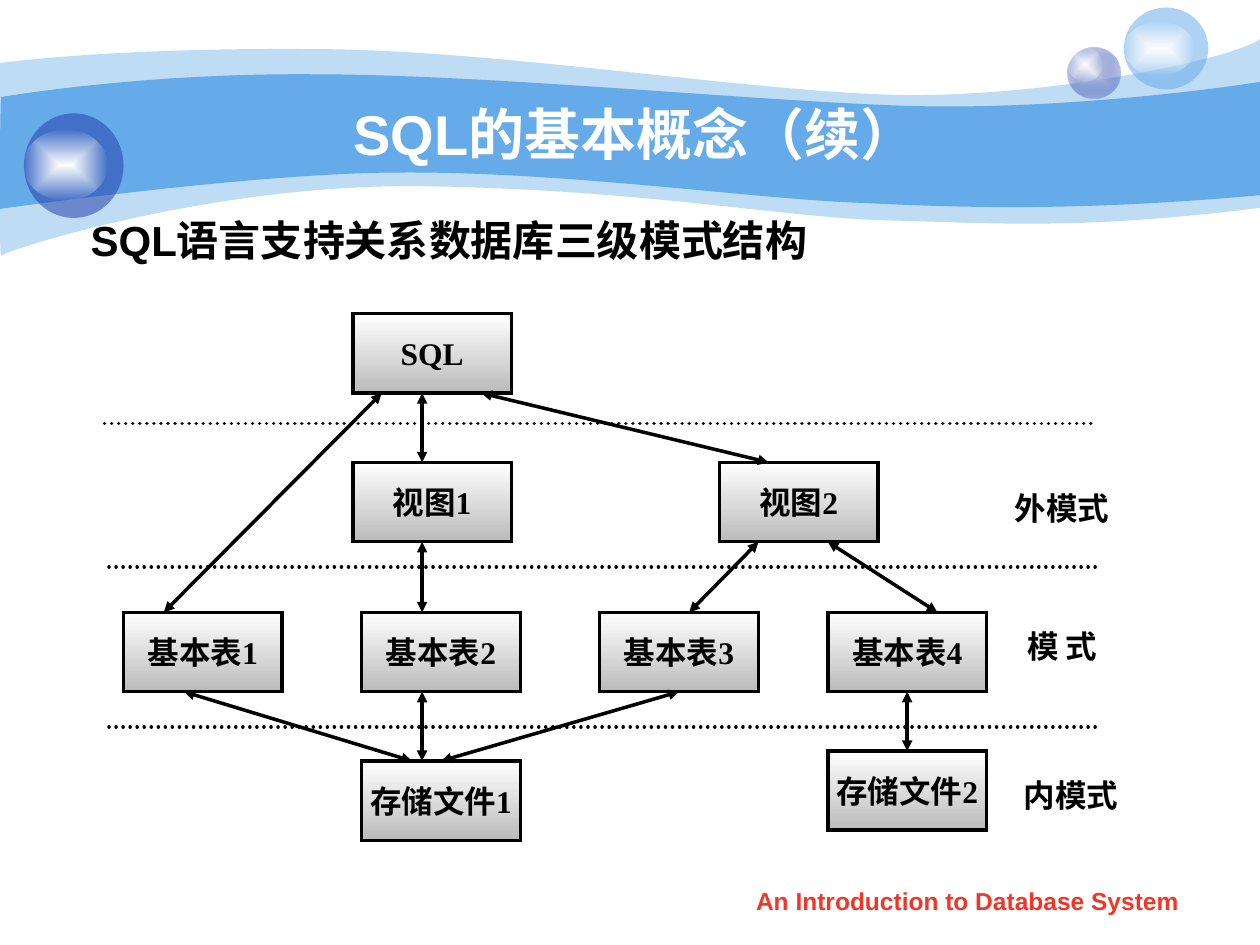
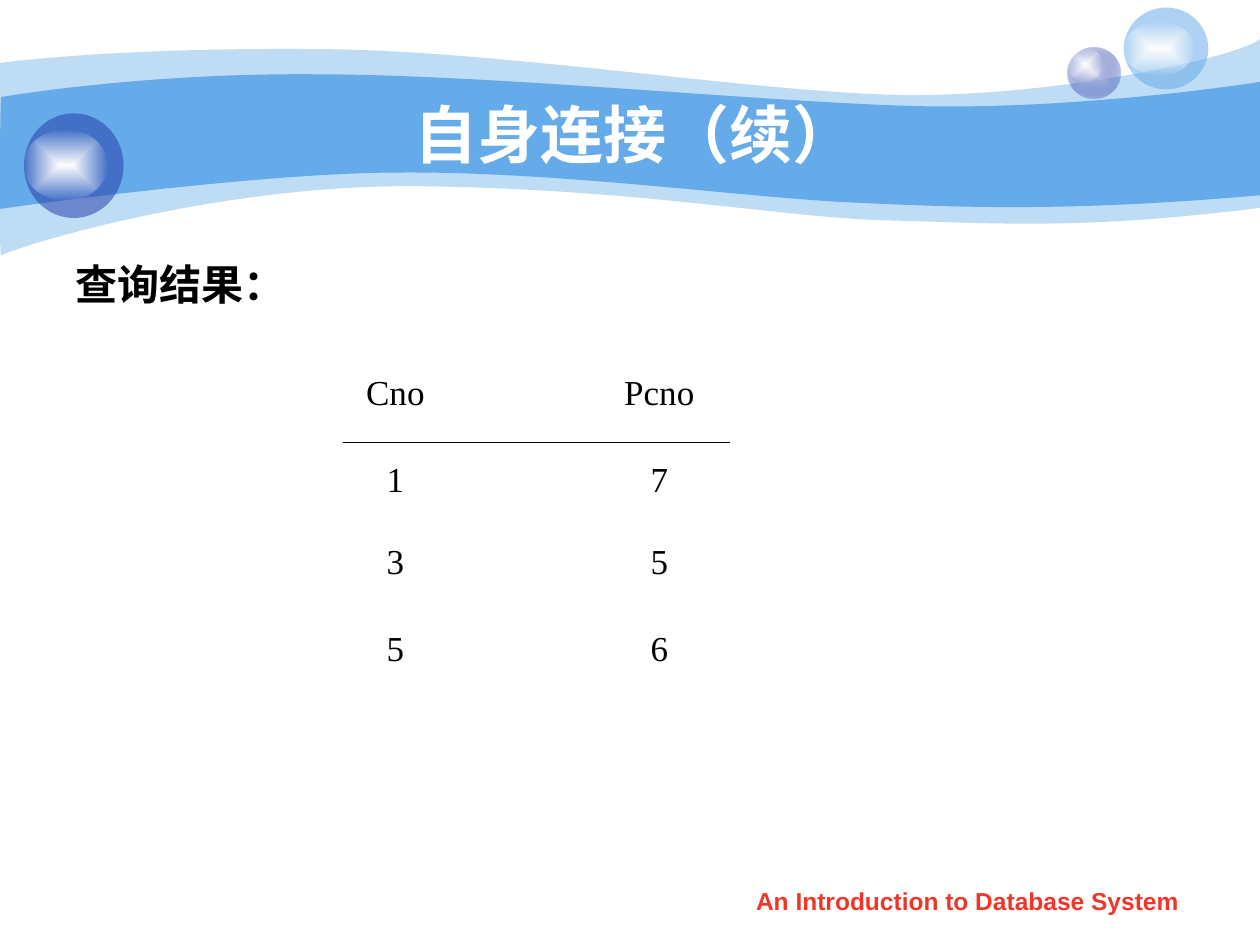
"""Build two database lecture slides: the three-level schema and a self-join result."""
import dataclasses

import lxml.etree
import pptx
import pptx.dml.color
import pptx.enum.dml
import pptx.enum.shapes
import pptx.enum.text
import pptx.oxml.ns
import pptx.util

Pt = pptx.util.Pt
qn = pptx.oxml.ns.qn
ALIGN = pptx.enum.text.PP_ALIGN
ANCHOR = pptx.enum.text.MSO_ANCHOR
SHAPE = pptx.enum.shapes.MSO_SHAPE


@dataclasses.dataclass(frozen=True)
class Theme:
    """Colours, fonts and type sizes shared by the slides."""
    sky: str = "65AAE9"
    navy: str = "233DA9"
    lilac: str = "C7CEE9"
    white: str = "FFFFFF"
    black: str = "000000"
    silver: str = "BBBBBB"
    footer: str = "F03628"
    sans: str = "Arial"
    serif: str = "Times New Roman"
    title_size: int = 32
    large_title_size: int = 36
    heading_size: int = 24
    table_size: int = 20
    label_size: int = 18
    footer_size: int = 14


THEME = Theme()
BOX_WIDTH, BOX_HEIGHT = 90.72, 45.36
GLOSS = [(THEME.white, 100), (THEME.white, 0)]

OUTER_BAND = [
    [(0, 36)],
    [(17.28, 33.84), (77.04, 27.36), (177.84, 28.08)],
    [(277.92, 28.08), (414, 50.4), (503.28, 54)],
    [(591.84, 57.6), (705.6, 33.84), (720, 22.32)],
    [(720, 118.8)],
    [(617.76, 131.76), (566.64, 127.44), (507.6, 126)],
    [(447.84, 124.56), (370.8, 108.72), (246.96, 106.56)],
    [(123.84, 103.68), (2.88, 143.28), (0.72, 146.16)],
    [(-0.72, 149.76), (0, 54), (0, 36)],
]
INNER_BAND = [
    [(0.72, 55.44)],
    [(1.44, 55.44), (79.2, 41.76), (178.56, 42.48)],
    [(277.92, 42.48), (428.4, 57.6), (516.96, 60.48)],
    [(605.52, 63.36), (702.72, 49.68), (720, 46.8)],
    [(720, 111.6)],
    [(614.16, 120.96), (550.8, 118.8), (491.04, 115.92)],
    [(431.28, 113.76), (321.84, 97.92), (228.24, 98.64)],
    [(146.16, 98.64), (-1.44, 119.52), (-0.72, 119.52)],
    [(0, 119.52), (0, 55.44), (0.72, 55.44)],
]
ORBS = [
    (609.84, 27.36, 30.24, 28.8, [(THEME.lilac, 100), (THEME.navy, 31)]),
    (609.84, 27.36, 20.16, 19.44, GLOSS),
    (642.24, 4.32, 48.24, 46.8, [(THEME.sky, 53)]),
    (642.24, 12.24, 40.32, 30.96, GLOSS),
    (13.68, 64.8, 56.88, 59.76, [(THEME.navy, 53)]),
    (13.68, 74.16, 47.52, 40.32, GLOSS),
]
BOXES = {
    "SQL": (201.6, 179.28),
    "视图2": (411.12, 264.24),
    "视图1": (201.6, 264.24),
    "基本表2": (206.64, 349.92),
    "基本表1": (70.56, 349.92),
    "基本表3": (342.72, 349.92),
    "基本表4": (473.04, 349.92),
    "存储文件2": (473.04, 429.12),
    "存储文件1": (206.64, 434.88),
}
LINKS = [
    ("SQL", -28.8, "基本表1", -22.32),
    ("SQL", -5.76, "视图1", -5.76),
    ("视图1", -5.76, "基本表2", -10.8),
    ("基本表2", -10.8, "存储文件1", -10.8),
    ("SQL", 28.08, "视图2", -17.28),
    ("视图2", -23.04, "基本表3", 5.76),
    ("视图2", 16.56, "基本表4", 17.28),
    ("基本表1", -10.8, "存储文件1", -16.56),
    ("基本表3", 0, "存储文件1", 0),
    ("基本表4", 0, "存储文件2", 0),
]
LEVEL_LINES = [(59.76, 241.92), (62.28, 324), (62.28, 415.44)]
LEVEL_LABELS = [
    ("外模式", 564.48, 275.76),
    ("模 式", 564.48, 354.96),
    ("内模式", 569.52, 439.92),
]
RESULT = [("Cno", "Pcno"), ("1", "7"), ("3", "5"), ("5", "6")]
RESULT_ROW_HEIGHTS = [49.68, 46.8, 49.68, 49.68]


def rgb(color):
    """Turn a hex string into a colour value."""
    return pptx.dml.color.RGBColor.from_string(color)


def add_color(parent, color, opacity):
    """Add a colour element with its opacity in percent."""
    element = lxml.etree.SubElement(parent, qn("a:srgbClr"), val=color)
    if opacity < 100:
        lxml.etree.SubElement(element, qn("a:alpha"), val=str(opacity * 1000))


def paint(shape, stops, angle=None):
    """Fill a shape with one colour, or with a rectangular or linear gradient."""
    shape.shadow.inherit = False
    shape.line.fill.background()
    shape.fill.background()
    properties = shape._element.spPr
    blank = properties.find(qn("a:noFill"))
    if len(stops) == 1:
        fill = lxml.etree.Element(qn("a:solidFill"))
        add_color(fill, *stops[0])
    else:
        fill = lxml.etree.Element(qn("a:gradFill"), rotWithShape="1")
        stop_list = lxml.etree.SubElement(fill, qn("a:gsLst"))
        for position, stop in zip(("0", "100000"), stops):
            add_color(lxml.etree.SubElement(stop_list, qn("a:gs"), pos=position), *stop)
        if angle is None:
            direction = lxml.etree.SubElement(fill, qn("a:path"), path="rect")
            lxml.etree.SubElement(direction, qn("a:fillToRect"),
                                  l="50000", t="50000", r="50000", b="50000")
        else:
            lxml.etree.SubElement(fill, qn("a:lin"), ang=str(angle * 60000), scaled="1")
    properties.replace(blank, fill)


def write(frame, text, size, font=THEME.sans, color=THEME.black, bold=True,
          align=ALIGN.CENTER, anchor=ANCHOR.TOP, wrap=True, spacing=None):
    """Write one formatted paragraph into a text frame."""
    frame.word_wrap = wrap
    frame.vertical_anchor = anchor
    paragraph = frame.paragraphs[0]
    paragraph.alignment = align
    paragraph.line_spacing = spacing
    run = paragraph.add_run()
    run.text = text
    run.font.name = font
    run.font.size = Pt(size)
    run.font.bold = bold
    run.font.color.rgb = rgb(color)


def add_text(slide, text, left, top, width, height, **text_format):
    """Add a text box holding one formatted paragraph."""
    shape = slide.shapes.add_textbox(Pt(left), Pt(top), Pt(width), Pt(height))
    write(shape.text_frame, text, **text_format)


def add_band(slide, segments, opacity):
    """Draw a wavy band, turning each three-point segment into a cubic curve."""
    outline = [(Pt(x), Pt(y)) for segment in segments for x, y in segment]
    builder = slide.shapes.build_freeform(*outline[0])
    builder.add_line_segments(outline[1:], close=True)
    band = builder.convert_to_shape()
    lines = iter(list(band._element.iter(qn("a:lnTo"))))
    for segment in segments[1:]:
        first, *others = [next(lines) for _ in segment]
        if others:
            first.tag = qn("a:cubicBezTo")
            for line in others:
                first.append(line[0])
                line.getparent().remove(line)
    paint(band, [(THEME.sky, opacity)])


def add_frame(presentation, title, title_size):
    """Add a slide with the bands, orbs, footer and title."""
    slide = presentation.slides.add_slide(presentation.slide_layouts[6])
    add_band(slide, OUTER_BAND, 41)
    add_band(slide, INNER_BAND, 100)
    for left, top, width, height, stops in ORBS:
        orb = slide.shapes.add_shape(SHAPE.OVAL, Pt(left), Pt(top), Pt(width), Pt(height))
        paint(orb, stops)
    add_text(slide, "An Introduction to Database System", 411.12, 502.56, 283.68, 25.2,
             size=THEME.footer_size, color=THEME.footer)
    add_text(slide, title, 72, 54, 581.76, 44.64, size=title_size,
             color=THEME.white, anchor=ANCHOR.MIDDLE)
    return slide


def add_line(slide, start, end, width=2, dotted=False, arrows=False):
    """Add a black straight connector, optionally dotted or double-headed."""
    connector = slide.shapes.add_connector(
        pptx.enum.shapes.MSO_CONNECTOR.STRAIGHT, *map(Pt, (*start, *end)))
    connector.line.color.rgb = rgb(THEME.black)
    connector.line.width = Pt(width)
    outline = connector.line._get_or_add_ln()
    if dotted:
        connector.line.dash_style = pptx.enum.dml.MSO_LINE.ROUND_DOT
        outline.set("cap", "rnd")
    if arrows:
        for tag in ("a:headEnd", "a:tailEnd"):
            lxml.etree.SubElement(outline, qn(tag), type="triangle")
    lxml.etree.SubElement(connector._element.spPr, qn("a:effectLst"))
    return connector


def add_box(slide, text, left, top):
    """Add a labelled diagram box with a grey gradient and square corners."""
    shape = slide.shapes.add_shape(SHAPE.RECTANGLE, Pt(left), Pt(top),
                                   Pt(BOX_WIDTH), Pt(BOX_HEIGHT))
    paint(shape, [(THEME.white, 100), (THEME.silver, 100)], angle=90)
    shape.line.color.rgb = rgb(THEME.black)
    shape.line.width = Pt(2)
    lxml.etree.SubElement(shape.line._get_or_add_ln(), qn("a:miter"), lim="800000")
    write(shape.text_frame, text, size=THEME.label_size, font=THEME.serif,
          anchor=ANCHOR.MIDDLE, wrap=False)
    return shape


def add_link(slide, shapes, upper, upper_shift, lower, lower_shift):
    """Link the bottom of one box to the top of another, shifted from their centres."""
    upper_left, upper_top = BOXES[upper]
    lower_left, lower_top = BOXES[lower]
    start = (upper_left + BOX_WIDTH / 2 + upper_shift, upper_top + BOX_HEIGHT)
    end = (lower_left + BOX_WIDTH / 2 + lower_shift, lower_top)
    connector = add_line(slide, start, end, arrows=True)
    if upper_shift == 0:
        connector.begin_connect(shapes[upper], 2)
    if lower_shift == 0:
        connector.end_connect(shapes[lower], 0)


def add_result_table(slide, left, top, column_width):
    """Add the query result as a plain table."""
    columns = len(RESULT[0])
    table = slide.shapes.add_table(
        len(RESULT), columns, Pt(left), Pt(top),
        Pt(column_width * columns), Pt(sum(RESULT_ROW_HEIGHTS))).table
    table.first_row = table.horz_banding = False
    for column in table.columns:
        column.width = Pt(column_width)
    for row, height, values in zip(table.rows, RESULT_ROW_HEIGHTS, RESULT):
        row.height = Pt(height)
        for cell, value in zip(row.cells, values):
            cell.fill.background()
            write(cell.text_frame, value, size=THEME.table_size,
                  font=THEME.serif, bold=False)


def build_schema_slide(presentation):
    """Build the slide on the three-level schema structure."""
    slide = add_frame(presentation, "SQL的基本概念（续）", THEME.title_size)
    shapes = {text: add_box(slide, text, *place) for text, place in BOXES.items()}
    for link in LINKS:
        add_link(slide, shapes, *link)
    for left, top in LEVEL_LINES:
        add_line(slide, (left, top), (left + 567, top), dotted=True)
    for text, left, top in LEVEL_LABELS:
        add_text(slide, text, left, top, 84.96, 28.8,
                 size=THEME.label_size, font=THEME.serif)
    add_text(slide, "SQL语言支持关系数据库三级模式结构", 36.5, 107.28, 440, 47.52,
             size=THEME.heading_size, wrap=False, spacing=1.4)


def build_result_slide(presentation):
    """Build the slide with the self-join result."""
    slide = add_frame(presentation, "自身连接（续）", THEME.large_title_size)
    add_text(slide, "查询结果：", 36, 144, 318.24, 46.8,
             size=THEME.heading_size, align=ALIGN.LEFT)
    add_result_table(slide, 150.48, 210.24, 150.84)
    add_line(slide, (195.84, 252.72), (416.88, 252.72), width=0.75)


def main():
    """Create and save the presentation."""
    presentation = pptx.Presentation()
    presentation.slide_width, presentation.slide_height = Pt(720), Pt(540)
    build_schema_slide(presentation)
    build_result_slide(presentation)
    presentation.save("out.pptx")


if __name__ == "__main__":
    main()
